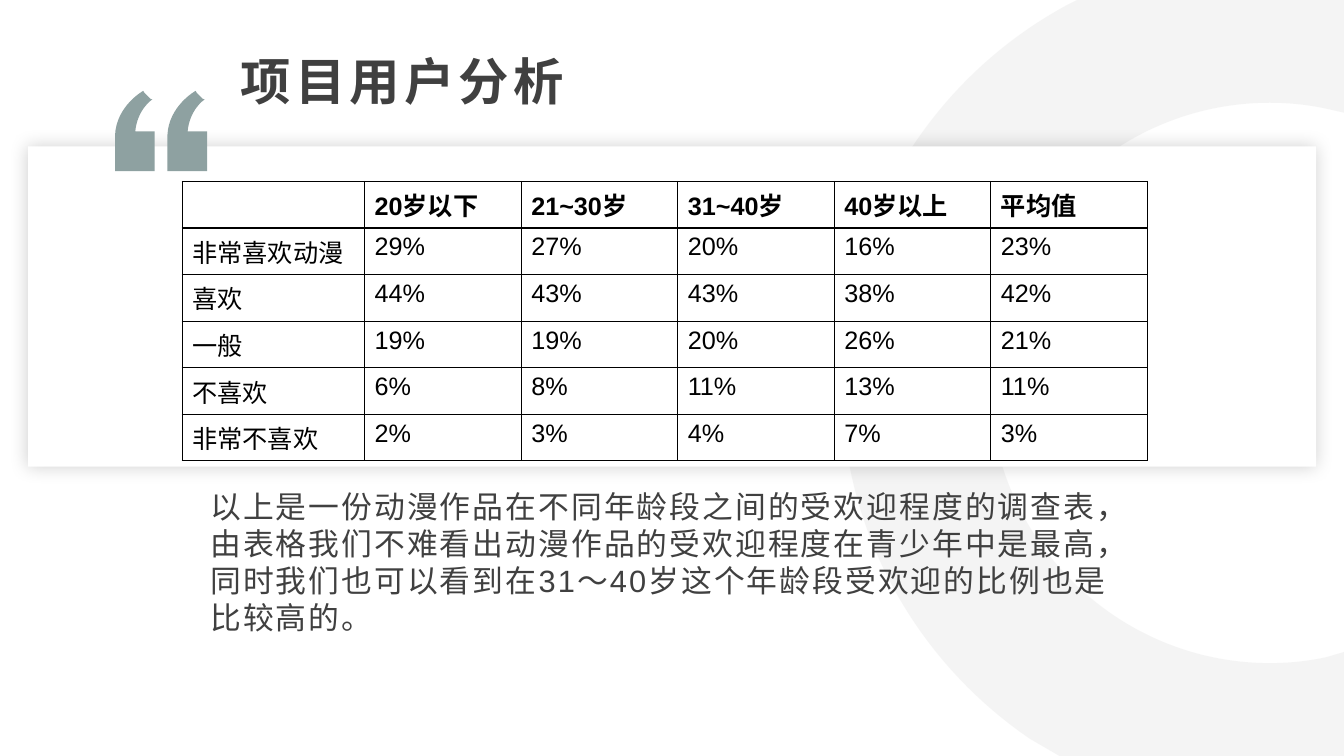
from lxml import etree
from pptx import Presentation
from pptx.dml.color import RGBColor
from pptx.enum.shapes import MSO_SHAPE
from pptx.enum.text import MSO_ANCHOR, MSO_AUTO_SIZE, PP_ALIGN
from pptx.oxml.ns import qn
from pptx.util import Cm, Pt

RECTANGLE = MSO_SHAPE.RECTANGLE
LEFT = PP_ALIGN.LEFT
TOP = MSO_ANCHOR.TOP
NO_AUTOFIT = MSO_AUTO_SIZE.NONE
TITLE_ONLY = 5
FONT = "Arial"
DARK, BLACK, WHITE = "404040", "000000", "FFFFFF"
RING_GREY, QUOTE_GREEN = "F2F2F2", "8EA1A1"
SLIDE_WIDTH, SLIDE_HEIGHT = 33.87, 19.05

TITLE = "项目用户分析"
SUMMARY = (
    "以上是一份动漫作品在不同年龄段之间的受欢迎程度的调查表，"
    "由表格我们不难看出动漫作品的受欢迎程度在青少年中是最高，"
    "同时我们也可以看到在31～40岁这个年龄段受欢迎的比例也是比较高的。"
)
SURVEY = [
    ["", "20岁以下", "21~30岁", "31~40岁", "40岁以上", "平均值"],
    ["非常喜欢动漫", "29%", "27%", "20%", "16%", "23%"],
    ["喜欢", "44%", "43%", "43%", "38%", "42%"],
    ["一般", "19%", "19%", "20%", "26%", "21%"],
    ["不喜欢", "6%", "8%", "11%", "13%", "11%"],
    ["非常不喜欢", "2%", "3%", "4%", "7%", "3%"],
]

# Outlines in centimetres: one point is a line, three points are a curve
RING = [
    [(27.15, 0)],
    [(SLIDE_WIDTH, 0)],
    [(SLIDE_WIDTH, 2.84)],
    [(33.43, 2.74)],
    [(32.97, 2.64), (32.49, 2.59), (32, 2.59)],
    [(28.12, 2.59), (24.94, 5.74), (24.94, 9.65)],
    [(24.94, 13.54), (28.12, 16.71), (32, 16.71)],
    [(32.49, 16.71), (32.97, 16.66), (33.43, 16.56)],
    [(SLIDE_WIDTH, 16.43)],
    [(SLIDE_WIDTH, SLIDE_HEIGHT)],
    [(26.7, SLIDE_HEIGHT)],
    [(25.96, 18.62)],
    [(23.09, 16.66), (21.21, 13.39), (21.21, 9.65)],
    [(21.21, 5.54), (23.5, 1.98), (26.85, 0.15)],
]
QUOTE_MARK = [
    [(1, 2.02)],
    [(0, 2.02)],
    [(0, 1.12)],
    [(0.03, 0.38), (0.71, 0), (0.71, 0)],
    [(0.74, 0.05)],
    [(0.79, 0.1), (0.84, 0.15), (0.89, 0.2)],
    [(0.94, 0.22)],
    [(0.92, 0.22), (0.56, 0.48), (0.51, 1.02)],
    [(1, 1.02)],
]


def color(hex_string):
    return RGBColor.from_string(hex_string)


def add_xml(parent, tag, **attributes):
    element = etree.SubElement(parent, qn(tag))
    for name, value in attributes.items():
        element.set(name, str(value))
    return element


def fill_shape(shape, fill):
    shape.shadow.inherit = False
    shape.fill.solid()
    shape.fill.fore_color.rgb = color(fill)
    shape.line.fill.background()


def format_paragraph(paragraph, size, font_color, bold=False, tracking=0):
    paragraph.alignment = LEFT
    font = paragraph.font
    font.name, font.size, font.bold = FONT, Pt(size), bold
    font.color.rgb = color(font_color)
    if tracking:
        for run in paragraph.runs:
            run._r.get_or_add_rPr().set("spc", str(int(tracking * 100)))


def add_outline(slide, segments, fill, left=0, top=0):
    points = [(Cm(left + x), Cm(top + y)) for segment in segments for x, y in segment]
    builder = slide.shapes.build_freeform(*points[0])
    builder.add_line_segments(points[1:], close=True)
    shape = builder.convert_to_shape()
    fill_shape(shape, fill)
    # Join the three points of each curve into one Bezier segment
    lines = iter(list(shape._element.iter(qn("a:lnTo"))))
    for segment in segments[1:]:
        parts = [next(lines) for _ in segment]
        if len(parts) == 3:
            bezier = etree.Element(qn("a:cubicBezTo"))
            parts[0].addprevious(bezier)
            for part in parts:
                bezier.append(part[0])
                part.getparent().remove(part)
    return shape


def add_ring(slide):
    ring = add_outline(slide, RING, RING_GREY)
    fill_color = ring._element.spPr.find(qn("a:solidFill"))[0]
    add_xml(fill_color, "a:alpha", val=80000)


def add_card(slide):
    card = slide.shapes.add_shape(RECTANGLE, Cm(0.71), Cm(3.69), Cm(32.46), Cm(8.07))
    fill_shape(card, WHITE)
    effects = card._element.spPr.find(qn("a:effectLst"))
    shadow = add_xml(effects, "a:outerShdw", blurRad=Pt(13), dist=0, dir=0,
                     algn="ctr", rotWithShape=0)
    add_xml(add_xml(shadow, "a:srgbClr", val=BLACK), "a:alpha", val=18000)


def set_title(slide):
    title = slide.shapes.title
    title.left, title.top, title.width, title.height = Cm(5.79), Cm(1.17), Cm(10.08), Cm(1.73)
    frame = title.text_frame
    frame.text = TITLE
    frame.word_wrap = False
    frame.auto_size = NO_AUTOFIT
    frame.vertical_anchor = TOP
    frame.margin_left, frame.margin_right = Cm(0.28), Cm(0.18)
    frame.margin_top = frame.margin_bottom = Cm(0.1)
    format_paragraph(frame.paragraphs[0], 36, DARK, bold=True, tracking=3)


def add_borders(cell):
    properties = cell._tc.get_or_add_tcPr()
    for position, side in enumerate(("a:lnL", "a:lnR", "a:lnT", "a:lnB")):
        line = add_xml(properties, side, w=Pt(1))
        add_xml(add_xml(line, "a:solidFill"), "a:srgbClr", val=BLACK)
        properties.insert(position, line)


def add_survey_table(slide):
    width, label_width = 24.33, 4.6
    frame = slide.shapes.add_table(len(SURVEY), len(SURVEY[0]),
                                   Cm(4.59), Cm(4.57), Cm(width), Cm(6.32))
    table = frame.table
    table.first_row = table.horz_banding = False
    value_width = (width - label_width) / (len(SURVEY[0]) - 1)
    for index, column in enumerate(table.columns):
        column.width = Cm(value_width if index else label_width)
    for row_index, values in enumerate(SURVEY):
        table.rows[row_index].height = Cm(1.06)
        for column_index, value in enumerate(values):
            cell = table.cell(row_index, column_index)
            cell.text = value
            cell.fill.background()
            add_borders(cell)
            format_paragraph(cell.text_frame.paragraphs[0], 18, BLACK, bold=row_index == 0)


def add_summary(slide):
    box = slide.shapes.add_textbox(Cm(5.05), Cm(12.17), Cm(23.55), Cm(4.01))
    frame = box.text_frame
    frame.word_wrap = True
    frame.vertical_anchor = TOP
    frame.text = SUMMARY
    format_paragraph(frame.paragraphs[0], 22, DARK, tracking=1.5)


def main():
    presentation = Presentation()
    presentation.slide_width, presentation.slide_height = Cm(SLIDE_WIDTH), Cm(SLIDE_HEIGHT)
    slide = presentation.slides.add_slide(presentation.slide_layouts[TITLE_ONLY])
    # Background ring and card
    add_ring(slide)
    add_card(slide)
    # Opening quotation marks
    for left in (4.22, 2.9):
        add_outline(slide, QUOTE_MARK, QUOTE_GREEN, left, 2.29)
    # Title, table and summary
    set_title(slide)
    add_survey_table(slide)
    add_summary(slide)
    presentation.save("out.pptx")


if __name__ == "__main__":
    main()
